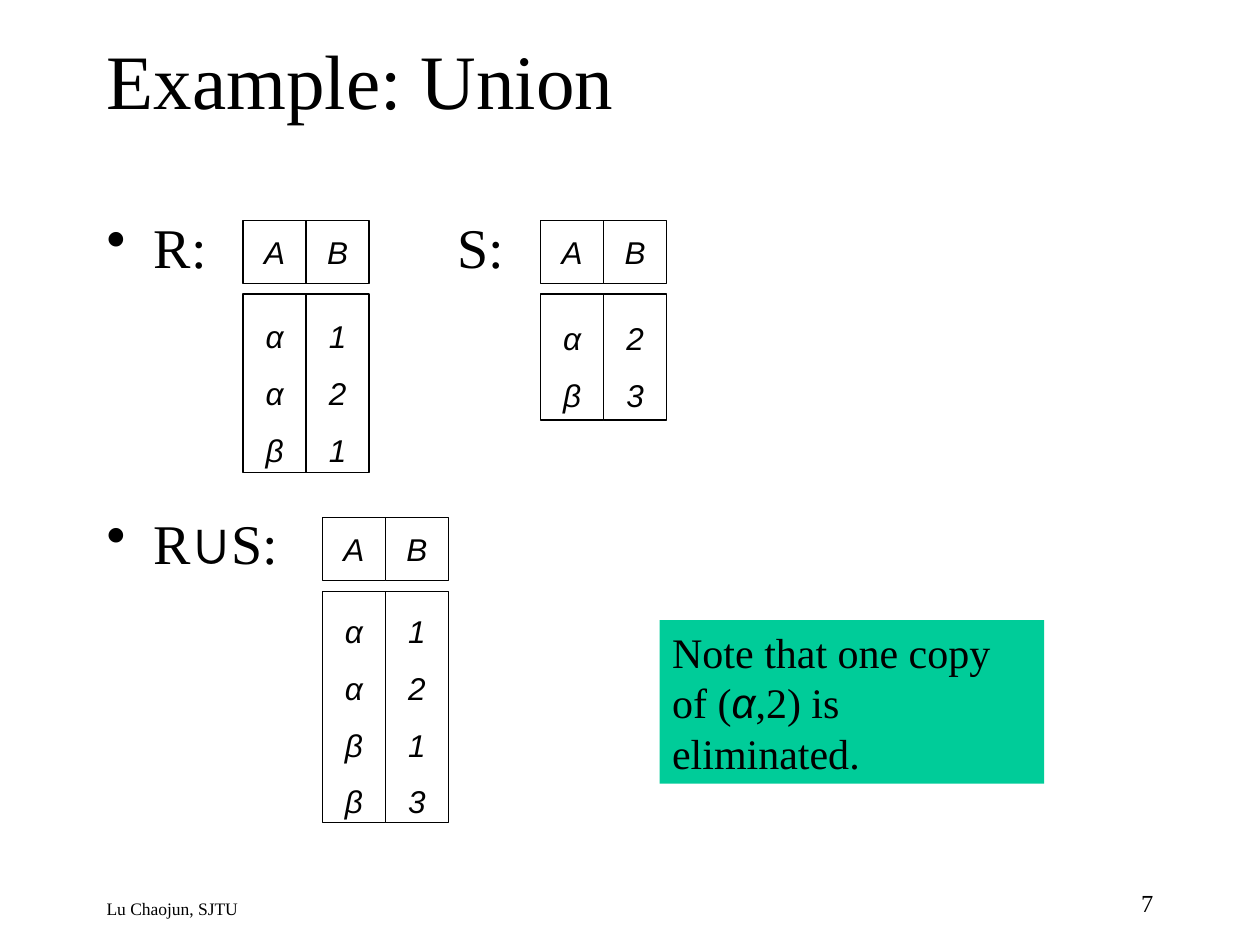
from lxml.etree import SubElement
from pptx import Presentation
from pptx.dml.color import RGBColor
from pptx.enum.shapes import MSO_SHAPE
from pptx.enum.text import MSO_ANCHOR, PP_ALIGN
from pptx.oxml.ns import qn
from pptx.util import Cm, Pt

THEME = {
    "ink": RGBColor(0, 0, 0),
    "paper": RGBColor(255, 255, 255),
    "note": RGBColor(0x00, 0xCC, 0x99),
    "serif": "Times New Roman",
    "sans": "Arial",
    "title": 44, "body": 32, "remark": 24, "cell": 18, "number": 14, "footer": 10,
}

# A paragraph is a list of (text, font, italic) runs, or a plain string.
TITLE = "Example: Union"
OPERANDS = ["R:", [("R", "serif", False), ("∪", "sans", False), ("S:", "serif", False)]]
SECOND_OPERAND = "S:"
REMARK = [("Note that one copy of (", "serif", False), ("α", "sans", True),
          (",2) is eliminated.", "serif", False)]
FOOTER = "Lu Chaojun, SJTU"
SLIDE_NUMBER = "7"

COLUMNS = ("A", "B")
RELATIONS = [  # left, top, rows
    (4.9, 4.45, [("α", "1"), ("α", "2"), ("β", "1")]),
    (10.9, 4.45, [("α", "2"), ("β", "3")]),
    (6.5, 10.44, [("α", "1"), ("α", "2"), ("β", "1"), ("β", "3")]),
]
CELL, HEADER_GAP = 1.27, 0.21
ROW_HEIGHT, COLUMN_PADDING = 1.06, 0.42


def write(shape, paragraphs, size, font="serif", italic=False, align=PP_ALIGN.LEFT,
          anchor=MSO_ANCHOR.TOP, wrap=True, line_spacing=None, gap=0, bullet_indent=None):
    """Fill a shape with paragraphs; gap is the space in points between them."""
    frame = shape.text_frame
    frame.word_wrap = wrap
    frame.vertical_anchor = anchor
    for index, content in enumerate(paragraphs):
        paragraph = frame.add_paragraph() if index else frame.paragraphs[0]
        if bullet_indent:
            properties = paragraph._p.get_or_add_pPr()
            properties.set("marL", str(bullet_indent))
            properties.set("indent", str(-bullet_indent))
            SubElement(properties, qn("a:buChar")).set("char", "•")
        paragraph.alignment = align
        paragraph.space_before = Pt(gap if index else 0)
        if line_spacing:
            paragraph.line_spacing = line_spacing
        runs = [(content, font, italic)] if isinstance(content, str) else content
        for text, face, slanted in runs:
            run = paragraph.add_run()
            run.text = text
            run.font.name = THEME[face]
            run.font.size = Pt(THEME[size])
            run.font.italic = slanted
            run.font.color.rgb = THEME["ink"]


def add_label(slide, left, top, width, height, paragraphs, size, **text_format):
    box = slide.shapes.add_textbox(Cm(left), Cm(top), Cm(width), Cm(height))
    write(box, paragraphs, size, **text_format)


def add_box(slide, left, top, width, height, fill, outlined=True):
    box = slide.shapes.add_shape(MSO_SHAPE.RECTANGLE, Cm(left), Cm(top), Cm(width), Cm(height))
    box.shadow.inherit = False
    box.fill.solid()
    box.fill.fore_color.rgb = THEME[fill]
    if outlined:
        box.line.color.rgb = THEME["ink"]
        box.line.width = Pt(0.75)
    else:
        box.line.fill.background()
    return box


def add_relation(slide, left, top, rows):
    """Draw each column as a header cell above one tall box of values."""
    cell_format = dict(font="sans", italic=True, align=PP_ALIGN.CENTER,
                       anchor=MSO_ANCHOR.MIDDLE, wrap=False)
    values_top = top + CELL + HEADER_GAP
    values_height = len(rows) * ROW_HEIGHT + COLUMN_PADDING
    for index, (column, values) in enumerate(zip(COLUMNS, zip(*rows))):
        x = left + index * CELL
        header = add_box(slide, x, top, CELL, CELL, "paper")
        write(header, [column], "cell", **cell_format)
        body = add_box(slide, x, values_top, CELL, values_height, "paper")
        write(body, values, "cell", line_spacing=1.5, **cell_format)


def main():
    deck = Presentation()
    deck.slide_width, deck.slide_height = Cm(25.4), Cm(19.05)
    slide = deck.slides.add_slide(deck.slide_layouts[5])

    title = slide.shapes.title
    title.left, title.top, title.width, title.height = Cm(1.9), Cm(0), Cm(21.6), Cm(3.18)
    write(title, [TITLE], "title", anchor=MSO_ANCHOR.MIDDLE)

    add_label(slide, 1.9, 4.16, 21.6, 12.75, OPERANDS, "body",
              gap=131, bullet_indent=Cm(0.95))
    add_label(slide, 8.97, 4.16, 1.6, 1.5, [SECOND_OPERAND], "body")
    for left, top, rows in RELATIONS:
        add_relation(slide, left, top, rows)

    remark = add_box(slide, 13.3, 12.5, 7.75, 3.3, "note", outlined=False)
    write(remark, [REMARK], "remark")

    add_label(slide, 1.9, 17.98, 14.73, 0.64, [FOOTER], "footer")
    add_label(slide, 18.2, 17.78, 5.3, 0.84, [SLIDE_NUMBER], "number", align=PP_ALIGN.RIGHT)
    deck.save("out.pptx")


if __name__ == "__main__":
    main()
